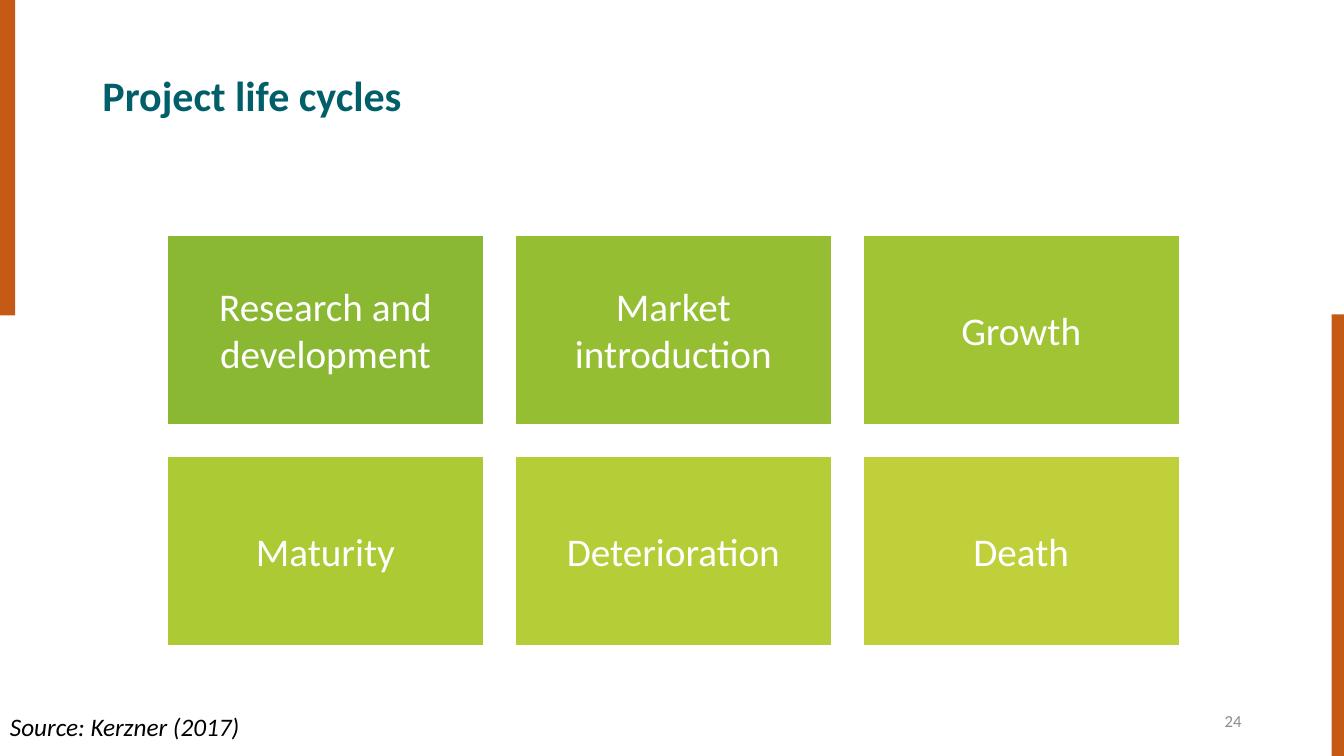
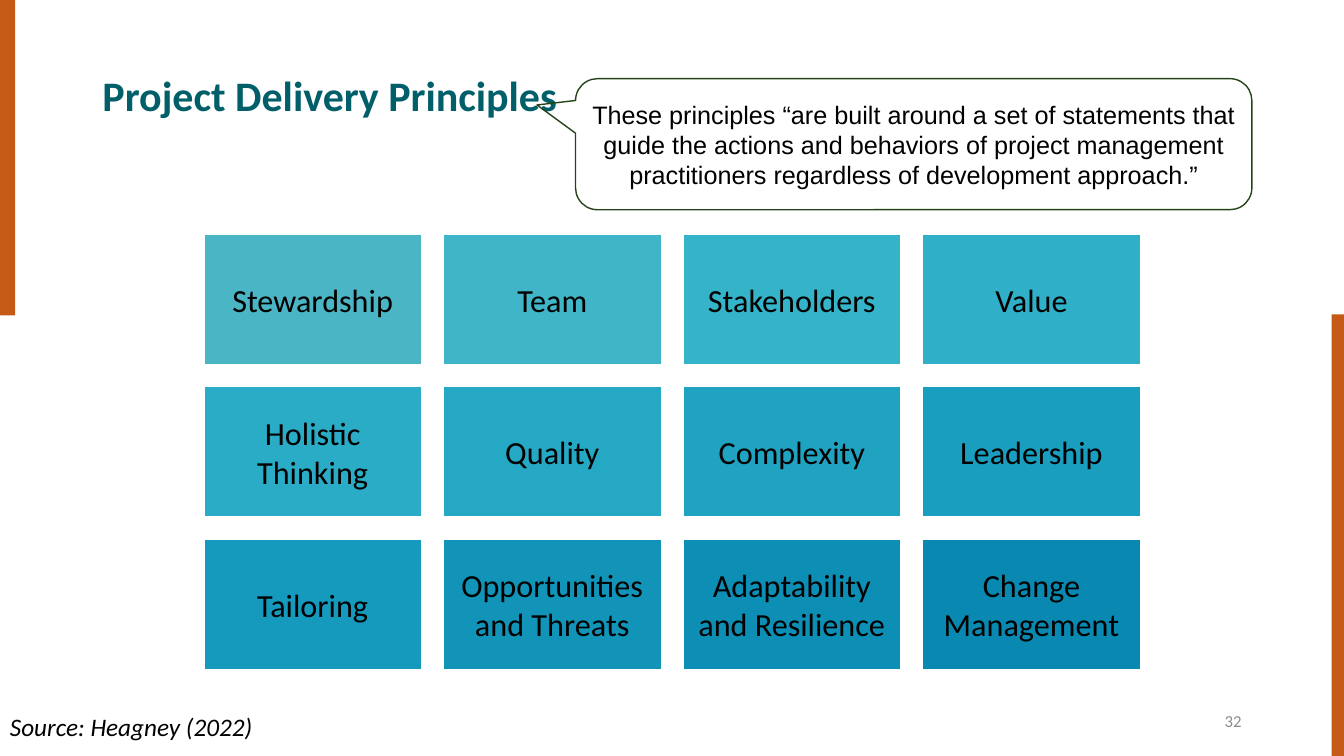
from lxml.etree import SubElement
from pptx import Presentation
from pptx.dml.color import RGBColor
from pptx.enum.shapes import MSO_SHAPE as Preset
from pptx.enum.text import MSO_ANCHOR as Anchor, MSO_AUTO_SIZE as AutoSize, PP_ALIGN as Align
from pptx.util import Pt

PAGE_WIDTH, PAGE_HEIGHT = 960, 540
TITLE_ONLY = 5
COLORS = {
    "band": "C45A15",
    "title": "005F69",
    "number": "8C8C8C",
    "callout line": "254519",
    "black": "000000",
    "white": "FFFFFF",
}
BANDS = [(0, 0, 10.8, 225.4), (951.2, 224.6, 9.6, 316.8)]
TITLE_BOX = (66, 28.8, 828, 82.8)
NUMBER_BOX = (678, 500.4, 216, 28.8)
SOURCE_BOX = (0, 504.7, 274.3, 29.1)
CALLOUT_BOX = (411.1, 56.2, 483.1, 93.6)
CALLOUT_SHAPE = (-0.557, -0.299, 0.167)
LIFE_CYCLES = [
    ("Research and development", "8AB833"),
    ("Market introduction", "95BE33"),
    ("Growth", "A0C434"),
    ("Maturity", "ABCA34"),
    ("Deterioration", "B5CD37"),
    ("Death", "BFD03B"),
]
PRINCIPLES = [
    ("Stewardship", "4AB5C4"),
    ("Team", "40B5C7"),
    ("Stakeholders", "35B4C9"),
    ("Value", "2FB0C8"),
    ("Holistic Thinking", "2AACC6"),
    ("Quality", "24A8C4"),
    ("Complexity", "1FA3C1"),
    ("Leadership", "1A9EBF"),
    ("Tailoring", "1599BC"),
    ("Opportunities and Threats", "1194B8"),
    ("Adaptability and Resilience", "0D8EB5"),
    ("Change Management", "0989B1"),
]
PRINCIPLES_QUOTE = (
    "These principles “are built around a set of statements that guide the actions "
    "and behaviors of project management practitioners regardless of development approach.”"
)


def points(box):
    """Turn a box of plain numbers into lengths."""
    return [Pt(length) for length in box]


def write(shape, text, size, color, align=Align.LEFT, anchor=Anchor.MIDDLE,
          font="Calibri", bold=False, italic=False):
    """Put one formatted paragraph into a shape."""
    frame = shape.text_frame
    frame.text = text
    frame.word_wrap = True
    frame.vertical_anchor = anchor
    para = frame.paragraphs[0]
    para.alignment = align
    for span in para.runs:
        span.font.name = font
        span.font.size = Pt(size)
        span.font.bold = bold
        span.font.italic = italic
        span.font.color.rgb = RGBColor.from_string(color)
    return frame


def add_block(page, preset, box, fill=None, line=None):
    """Draw a flat preset shape with optional fill and outline."""
    block = page.shapes.add_shape(preset, *points(box))
    block.shadow.inherit = False
    if fill:
        block.fill.solid()
        block.fill.fore_color.rgb = RGBColor.from_string(fill)
    else:
        block.fill.background()
    if line:
        block.line.color.rgb = RGBColor.from_string(line)
        block.line.width = Pt(1)
    else:
        block.line.fill.background()
    return block


def add_page(deck, title, number, source):
    """Add a slide with the shared bands, title, number and source."""
    page = deck.slides.add_slide(deck.slide_layouts[TITLE_ONLY])
    for band in BANDS:
        add_block(page, Preset.RECTANGLE, band, COLORS["band"])
    heading = page.shapes.title
    heading.left, heading.top, heading.width, heading.height = points(TITLE_BOX)
    frame = write(heading, title, 30, COLORS["title"], bold=True)
    frame.auto_size = AutoSize.NONE
    frame.paragraphs[0].line_spacing = 0.9
    number_box = page.shapes.add_textbox(*points(NUMBER_BOX))
    write(number_box, str(number), 12, COLORS["number"], Align.RIGHT)
    source_box = page.shapes.add_textbox(*points(SOURCE_BOX))
    frame = write(source_box, source, 18, COLORS["black"], anchor=Anchor.TOP, italic=True)
    frame.auto_size = AutoSize.SHAPE_TO_FIT_TEXT
    return page


def add_tiles(page, tiles, left, top, width, columns, size, color):
    """Lay tiles out in a grid whose gaps are a tenth of a tile's width."""
    tile_width = width / (columns + 0.1 * (columns - 1))
    tile_height = 0.6 * tile_width
    gap = 0.1 * tile_width
    for index, (label, fill) in enumerate(tiles):
        row, column = divmod(index, columns)
        box = (left + column * (tile_width + gap), top + row * (tile_height + gap),
               tile_width, tile_height)
        tile = add_block(page, Preset.RECTANGLE, box, fill, COLORS["white"])
        frame = write(tile, label, size, color, Align.CENTER)
        inset = Pt(0.3 * size)
        frame.margin_left = frame.margin_right = inset
        frame.margin_top = frame.margin_bottom = inset


def add_callout(page, text, box):
    """Draw the outlined speech bubble that points at the title."""
    callout = add_block(page, Preset.ROUNDED_RECTANGULAR_CALLOUT, box,
                        line=COLORS["callout line"])
    for index, value in enumerate(CALLOUT_SHAPE):
        callout.adjustments[index] = value
    write(callout, text, 18, COLORS["black"], Align.CENTER, font="Arial")


def build_life_cycles(deck):
    """Build the slide on project life cycles."""
    page = add_page(deck, "Project life cycles", 24, "Source: Kerzner (2017)")
    add_tiles(page, LIFE_CYCLES, 119.5, 167.8, 722.9, 3, 28, COLORS["white"])


def build_principles(deck):
    """Build the slide on project delivery principles."""
    page = add_page(deck, "Project Delivery Principles", 32, "Source: Heagney (2022)")
    add_tiles(page, PRINCIPLES, 145.6, 167.2, 669, 4, 23, COLORS["black"])
    add_callout(page, PRINCIPLES_QUOTE, CALLOUT_BOX)


def main():
    """Build and save the deck."""
    deck = Presentation()
    deck.slide_width, deck.slide_height = Pt(PAGE_WIDTH), Pt(PAGE_HEIGHT)
    build_life_cycles(deck)
    build_principles(deck)
    deck.save("out.pptx")


if __name__ == "__main__":
    main()
